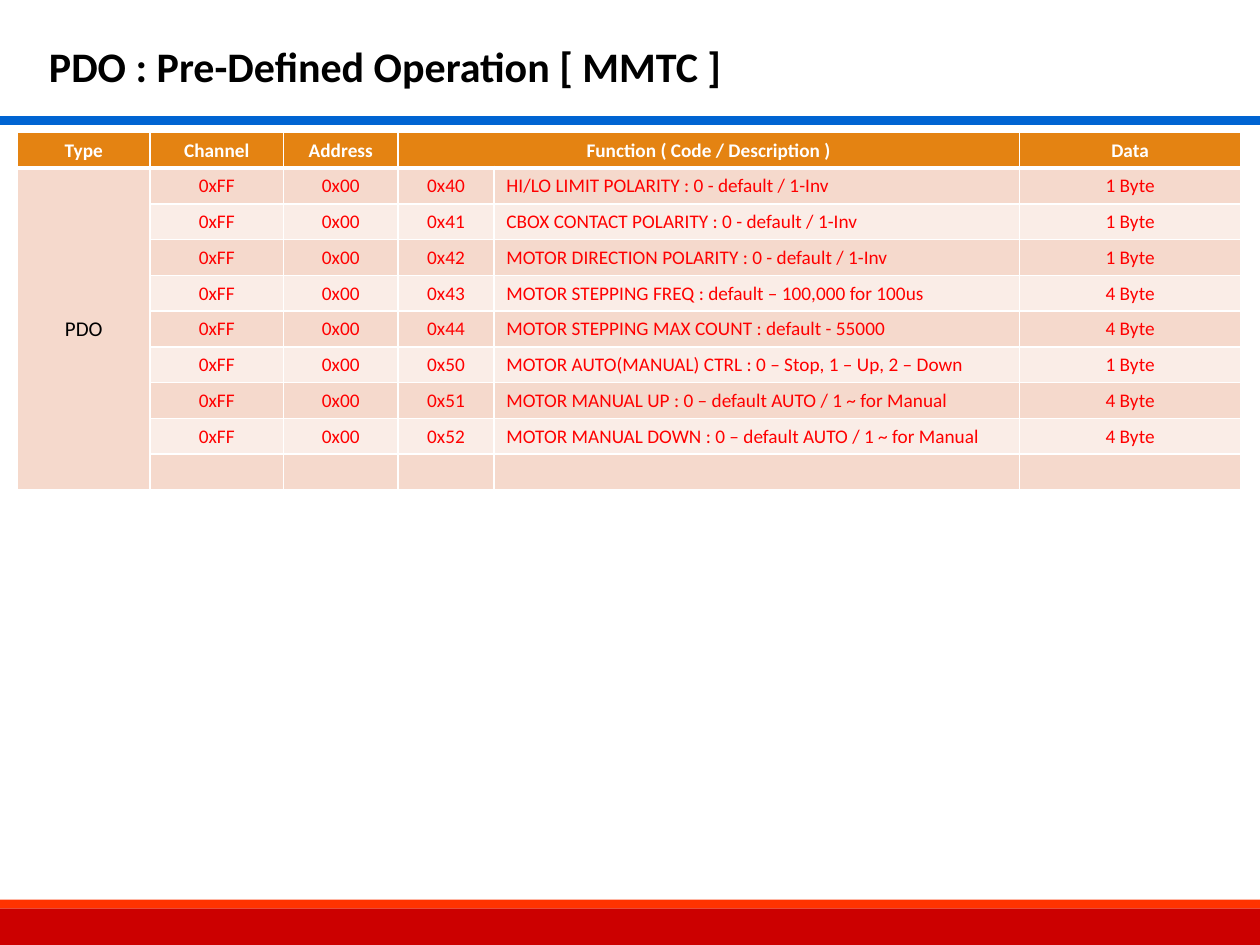
from dataclasses import dataclass

from lxml import etree
from pptx import Presentation
from pptx.dml.color import RGBColor
from pptx.enum.shapes import MSO_SHAPE
from pptx.enum.text import MSO_ANCHOR, MSO_AUTO_SIZE, PP_ALIGN
from pptx.oxml.ns import qn
from pptx.util import Inches, Pt

RECTANGLE = MSO_SHAPE.RECTANGLE
MIDDLE = MSO_ANCHOR.MIDDLE
FIT_SHAPE = MSO_AUTO_SIZE.SHAPE_TO_FIT_TEXT
LEFT, CENTER = PP_ALIGN.LEFT, PP_ALIGN.CENTER


@dataclass(frozen=True)
class Theme:
    font: str = "Calibri"
    black: str = "000000"
    white: str = "FFFFFF"
    red: str = "FF0000"
    blue: str = "0064D2"
    footer: str = "CC0000"
    footer_edge: str = "FF3300"
    header: str = "E48312"
    bands: tuple = ("F5D9CC", "FAEDE7")
    title_size: int = 24
    type_size: int = 12
    cell_size: int = 11
    grid_width: int = 1
    header_rule_width: int = 3


HEADERS = ["Type", "Channel", "Address", "Function ( Code / Description )", "", "Data"]
COLUMN_WIDTHS = [1.05, 1.06, 0.91, 0.76, 4.17, 1.76]
ROW_HEIGHT = 0.28
DESCRIPTION_COLUMN = 4
OPERATIONS = [
    ("0x40", "HI/LO LIMIT POLARITY : 0 - default / 1-Inv", "1 Byte"),
    ("0x41", "CBOX CONTACT POLARITY : 0 - default / 1-Inv", "1 Byte"),
    ("0x42", "MOTOR DIRECTION POLARITY : 0 - default / 1-Inv", "1 Byte"),
    ("0x43", "MOTOR STEPPING FREQ : default – 100,000 for 100us", "4 Byte"),
    ("0x44", "MOTOR STEPPING MAX COUNT : default - 55000", "4 Byte"),
    ("0x50", "MOTOR AUTO(MANUAL) CTRL : 0 – Stop, 1 – Up, 2 – Down", "1 Byte"),
    ("0x51", "MOTOR MANUAL UP : 0 – default AUTO / 1 ~ for Manual", "4 Byte"),
    ("0x52", "MOTOR MANUAL DOWN : 0 – default AUTO / 1 ~ for Manual", "4 Byte"),
]


def write_text(frame, text, *, font, size, color, bold=False, align=LEFT):
    para = frame.paragraphs[0]
    para.alignment = align
    if not text:
        etree.SubElement(para._p, qn("a:endParaRPr"), sz=str(size * 100))
        return
    span = para.add_run()
    span.text = text
    span.font.name = font
    span.font.size = Pt(size)
    span.font.bold = bold
    span.font.color.rgb = RGBColor.from_string(color)


def draw_border(cell, side, color, width):
    properties = cell._tc.get_or_add_tcPr()
    line = etree.SubElement(properties, qn(f"a:ln{side}"), w=str(Pt(width)))
    fill = etree.SubElement(line, qn("a:solidFill"))
    etree.SubElement(fill, qn("a:srgbClr"), val=color)


class SlideBuilder:
    """Draws styled elements on the current slide."""

    def __init__(self, page, theme):
        self.page = page
        self.theme = theme

    def bar(self, top, height, color, line_width=None):
        box = self.page.shapes.add_shape(
            RECTANGLE, Inches(0), Inches(top), Inches(10), Inches(height))
        box.shadow.inherit = False
        box.fill.solid()
        box.fill.fore_color.rgb = RGBColor.from_string(color)
        if line_width:
            box.line.color.rgb = RGBColor.from_string(color)
            box.line.width = Pt(line_width)
        else:
            box.line.fill.background()

    def title(self, text, left, top, width, height):
        box = self.page.shapes.add_textbox(
            Inches(left), Inches(top), Inches(width), Inches(height))
        frame = box.text_frame
        frame.word_wrap = False
        frame.auto_size = FIT_SHAPE
        write_text(frame, text, font=self.theme.font, size=self.theme.title_size,
                   color=self.theme.black, bold=True)

    def cell(self, cell, text, row, column):
        theme = self.theme
        is_header = row == 0
        is_type = column == 0 and not is_header
        for side in "LRTB":
            is_rule = (row, side) in ((0, "B"), (1, "T"))
            width = theme.header_rule_width if is_rule else theme.grid_width
            draw_border(cell, side, theme.white, width)
        cell.fill.solid()
        band = theme.bands[0 if is_type else (row - 1) % 2]
        cell.fill.fore_color.rgb = RGBColor.from_string(theme.header if is_header else band)
        cell.vertical_anchor = MIDDLE
        body_color = theme.black if is_type else theme.red
        is_description = column == DESCRIPTION_COLUMN and not is_header
        write_text(cell.text_frame, text, font=theme.font,
                   size=theme.type_size if is_type else theme.cell_size,
                   color=theme.white if is_header else body_color,
                   bold=is_header, align=LEFT if is_description else CENTER)

    def table(self, rows, left, top, widths, row_height):
        table = self.page.shapes.add_table(
            len(rows), len(widths), Inches(left), Inches(top),
            Inches(sum(widths)), Inches(row_height * len(rows))).table
        for column, width in zip(table.columns, widths):
            column.width = Inches(width)
        for row_index, values in enumerate(rows):
            table.rows[row_index].height = Inches(row_height)
            for column_index, text in enumerate(values):
                self.cell(table.cell(row_index, column_index), text, row_index, column_index)
        return table


def main():
    deck = Presentation()
    deck.slide_width, deck.slide_height = Inches(10), Inches(7.5)
    theme = Theme()
    builder = SlideBuilder(deck.slides.add_slide(deck.slide_layouts[6]), theme)

    builder.bar(7.21, 0.29, theme.footer)
    builder.bar(7.14, 0.07, theme.footer_edge)
    builder.bar(0.93, 0.05, theme.blue, line_width=1.25)
    builder.title("PDO : Pre-Defined Operation [ MMTC ]", 0.29, 0.27, 5.59, 0.5)

    rows = [HEADERS]
    rows += [["", "0xFF", "0x00", *operation] for operation in OPERATIONS]
    rows.append([""] * len(HEADERS))
    rows[1][0] = "PDO"
    table = builder.table(rows, 0.14, 1.05, COLUMN_WIDTHS, ROW_HEIGHT)
    table.cell(0, 3).merge(table.cell(0, DESCRIPTION_COLUMN))
    table.cell(1, 0).merge(table.cell(len(rows) - 1, 0))

    deck.save("out.pptx")


if __name__ == "__main__":
    main()
